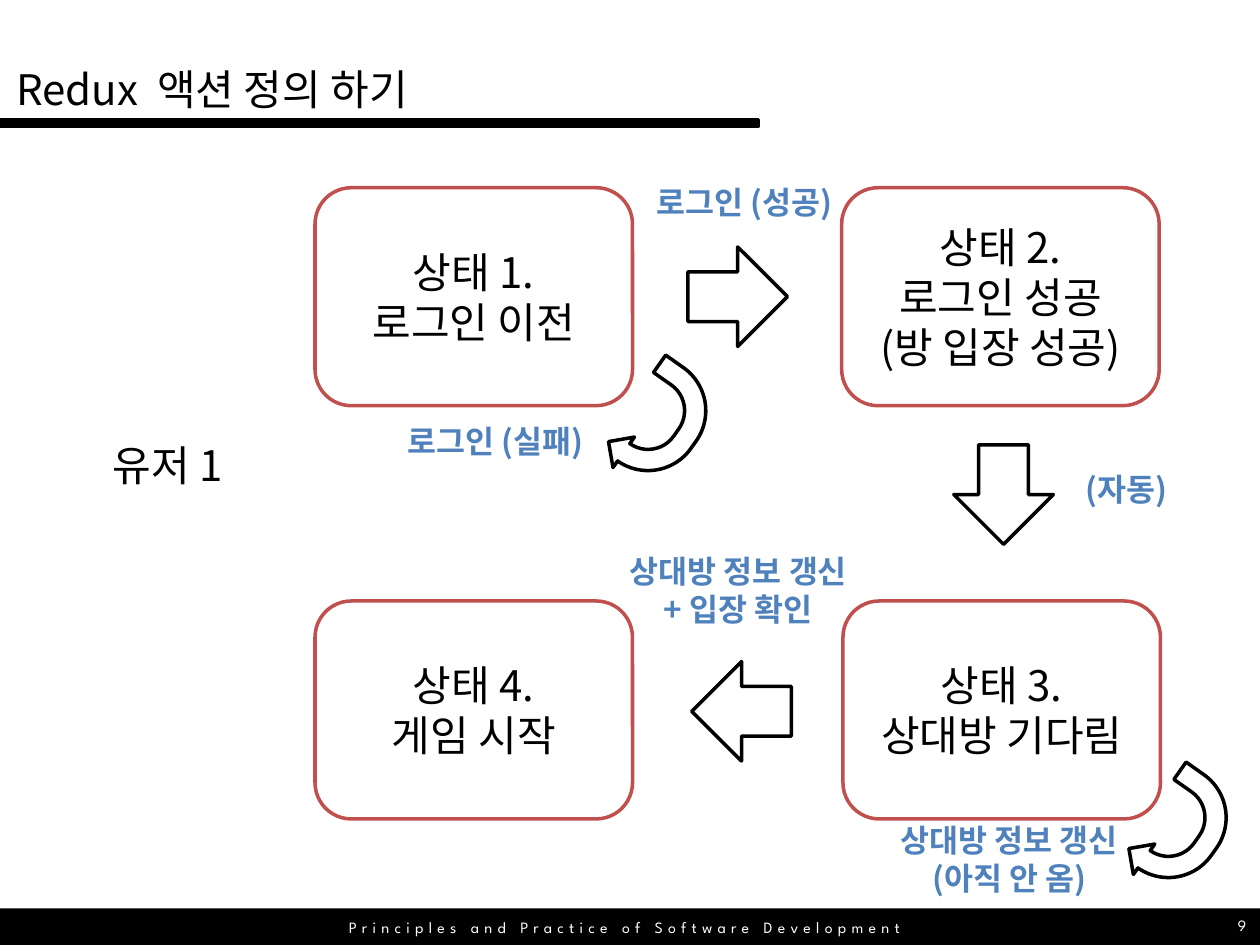
"""Build the Redux action definition slide."""
from dataclasses import dataclass

from lxml import etree
from pptx import Presentation
from pptx import util as u
from pptx.dml.color import RGBColor
from pptx.enum import shapes, text
from pptx.oxml.ns import qn

KIND = shapes.MSO_SHAPE
ALIGN = text.PP_ALIGN
MID = text.MSO_ANCHOR.MIDDLE


@dataclass(frozen=True)
class Theme:
    """Colours, fonts and sizes of the slide."""
    ink: str = "000000"
    paper: str = "FFFFFF"
    edge: str = "C0504D"
    label: str = "4F81BD"
    main: str = "Noto Sans CJK KR"
    foot: str = "League Spartan"
    big: int = 24
    mid: int = 18
    small: int = 9
    line: int = 2


def write(frame, words, size, color, face, bold=None, align=ALIGN.CENTER,
          anchor=text.MSO_ANCHOR.TOP, wrap=True, grow=False, gap=0):
    """Fill a text frame, one paragraph per line of words."""
    frame.word_wrap = wrap
    frame.vertical_anchor = anchor
    fit = text.MSO_AUTO_SIZE
    frame.auto_size = fit.SHAPE_TO_FIT_TEXT if grow else fit.NONE
    for i, line in enumerate(words.split("\n")):
        para = frame.add_paragraph() if i else frame.paragraphs[0]
        para.text = line
        para.alignment = align
        for run in para.runs:
            font = run.font
            font.size, font.bold, font.name = u.Pt(size), bold, face
            font.color.rgb = RGBColor.from_string(color)
            props = run._r.get_or_add_rPr()
            etree.SubElement(props, qn("a:ea"), typeface=face)
            if gap:
                props.set("spc", str(gap * 100))


class Deck:
    """Holds the theme and the current slide."""

    def __init__(self, theme):
        self.look = theme
        self.file = Presentation()
        self.file.slide_width, self.file.slide_height = u.Inches(10), u.Inches(7.5)
        self.page = self.file.slides.add_slide(self.file.slide_layouts[5])

    def shape(self, kind, box, fill, line=None, turn=0, adj=()):
        """Add a preset shape."""
        item = self.page.shapes.add_shape(kind, *map(u.Inches, box))
        item.shadow.inherit = False
        item.fill.solid()
        item.fill.fore_color.rgb = RGBColor.from_string(fill)
        if line:
            item.line.color.rgb = RGBColor.from_string(line)
            item.line.width = u.Pt(self.look.line)
        else:
            item.line.fill.background()
        item.rotation = turn
        for i, value in enumerate(adj):
            item.adjustments[i] = value
        return item

    def title(self, words, box):
        """Place and fill the title placeholder."""
        item = self.page.shapes.title
        item.left, item.top, item.width, item.height = map(u.Inches, box)
        write(item.text_frame, words, self.look.big, self.look.ink,
              self.look.main, align=ALIGN.LEFT, grow=True)

    def note(self, words, box, **style):
        """Add a text box."""
        item = self.page.shapes.add_textbox(*map(u.Inches, box))
        write(item.text_frame, words, **style)

    def label(self, words, box):
        """Add the bold name of an action."""
        self.note(words, box, size=self.look.mid, color=self.look.label,
                  face=self.look.main, bold=True, wrap=False, grow=True)

    def state(self, words, left, top):
        """Add a rounded state box."""
        item = self.shape(KIND.ROUNDED_RECTANGLE, (left, top, 2.52, 1.73),
                          self.look.paper, self.look.edge)
        write(item.text_frame, words, self.look.big, self.look.ink,
              self.look.main, anchor=MID)

    def arrow(self, left, top, turn):
        """Add a block arrow to the next state."""
        self.shape(KIND.RIGHT_ARROW, (left, top, 0.79, 0.79),
                   self.look.paper, self.look.ink, turn)

    def loop(self, left, top):
        """Add an arrow back to the same state."""
        self.shape(KIND.U_TURN_ARROW, (left, top, 0.97, 0.59), self.look.paper,
                   self.look.ink, 125.2, (0.285, 0.25, 0.25, 0.709, 0.959))

    def footer(self, words, number):
        """Add the bottom band with its texts."""
        look = self.look
        style = dict(size=look.small, color=look.paper, face=look.foot, anchor=MID)
        self.shape(KIND.RECTANGLE, (-0.05, 7.21, 10.14, 0.31), look.ink)
        self.note(number, (9.17, 7.2, 0.82, 0.29), align=ALIGN.RIGHT, **style)
        self.note(words, (1.58, 7.21, 6.75, 0.29), gap=3, **style)


def main():
    """Draw the slide and save it."""
    look = Theme()
    deck = Deck(look)
    deck.footer("Principles and Practice of Software Development", "9")
    deck.shape(KIND.RECTANGLE, (0, 0.95, 6.02, 0.05), look.ink, look.ink)
    deck.title("Redux  액션 정의 하기", (0.03, 0.45, 10.48, 0.5))
    deck.note("유저 1", (0.74, 3.44, 1.18, 0.5), size=look.big, color=look.ink,
              face=look.main, wrap=False, grow=True)

    west, east, high, low = 2.5, 6.68, 1.49, 4.77
    for words, left, top in (
            ("상태 1.\n로그인 이전", west, high),
            ("상태 2.\n로그인 성공\v(방 입장 성공)", east, high),
            ("상태 3.\n상대방 기다림", east + 0.01, low),
            ("상태 4.\n게임 시작", west, low)):
        deck.state(words, left, top)

    for left, top, turn in ((5.46, 1.96, 0), (7.57, 3.53, 90), (5.49, 5.25, 180)):
        deck.arrow(left, top, turn)
    for left, top in ((8.89, 6.32), (4.76, 3.09)):
        deck.loop(left, top)

    for words, box in (
            ("로그인 (성공)", (4.99, 1.4, 1.84, 0.4)),
            ("(자동)", (8.46, 3.68, 0.96, 0.4)),
            ("상대방 정보 갱신\n(아직 안 옴)", (6.9, 6.47, 2.22, 0.71)),
            ("상대방 정보 갱신\n+ 입장 확인", (4.75, 4.33, 2.22, 0.71)),
            ("로그인 (실패)", (3.01, 3.3, 1.84, 0.4))):
        deck.label(words, box)
    deck.file.save("out.pptx")


if __name__ == "__main__":
    main()
